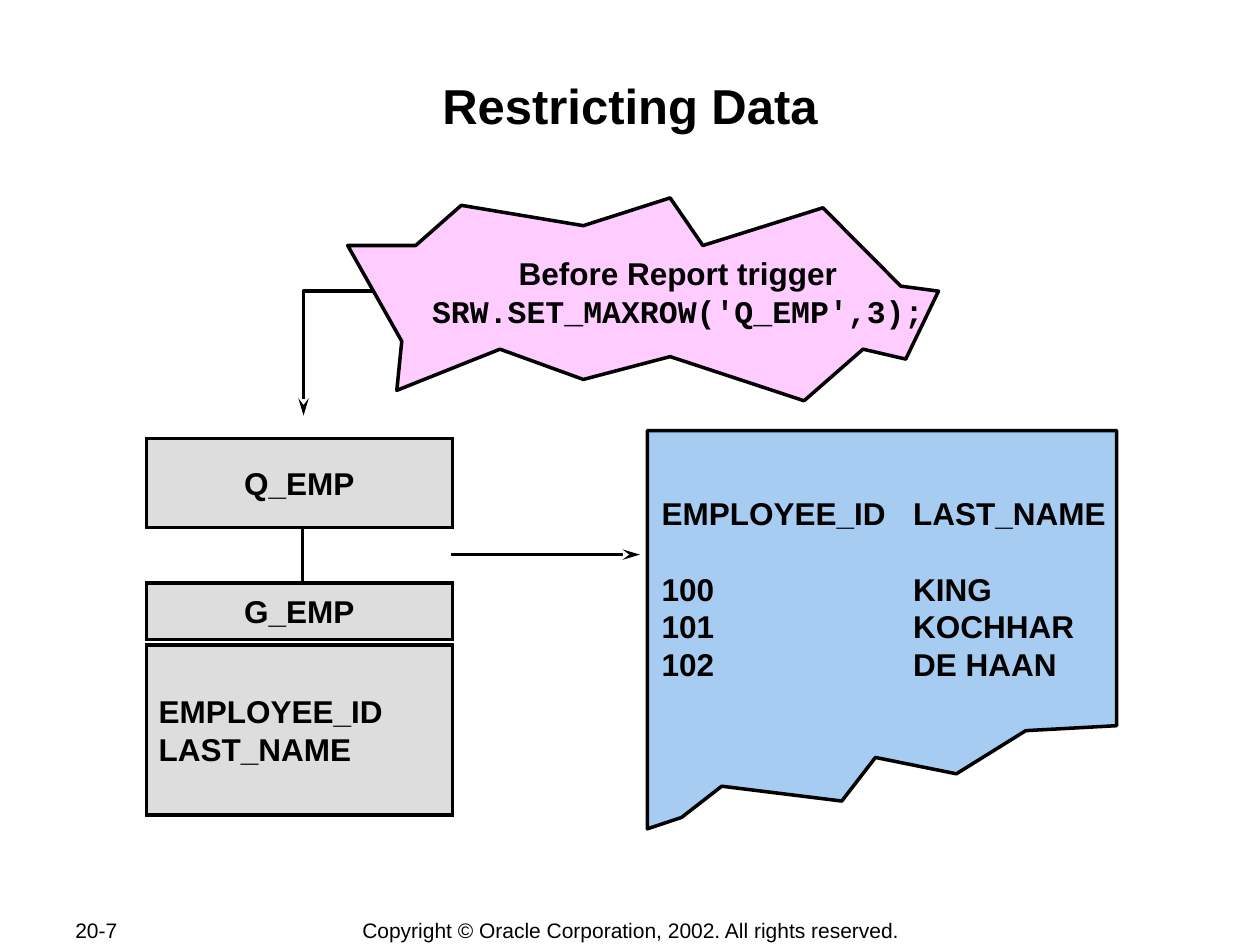
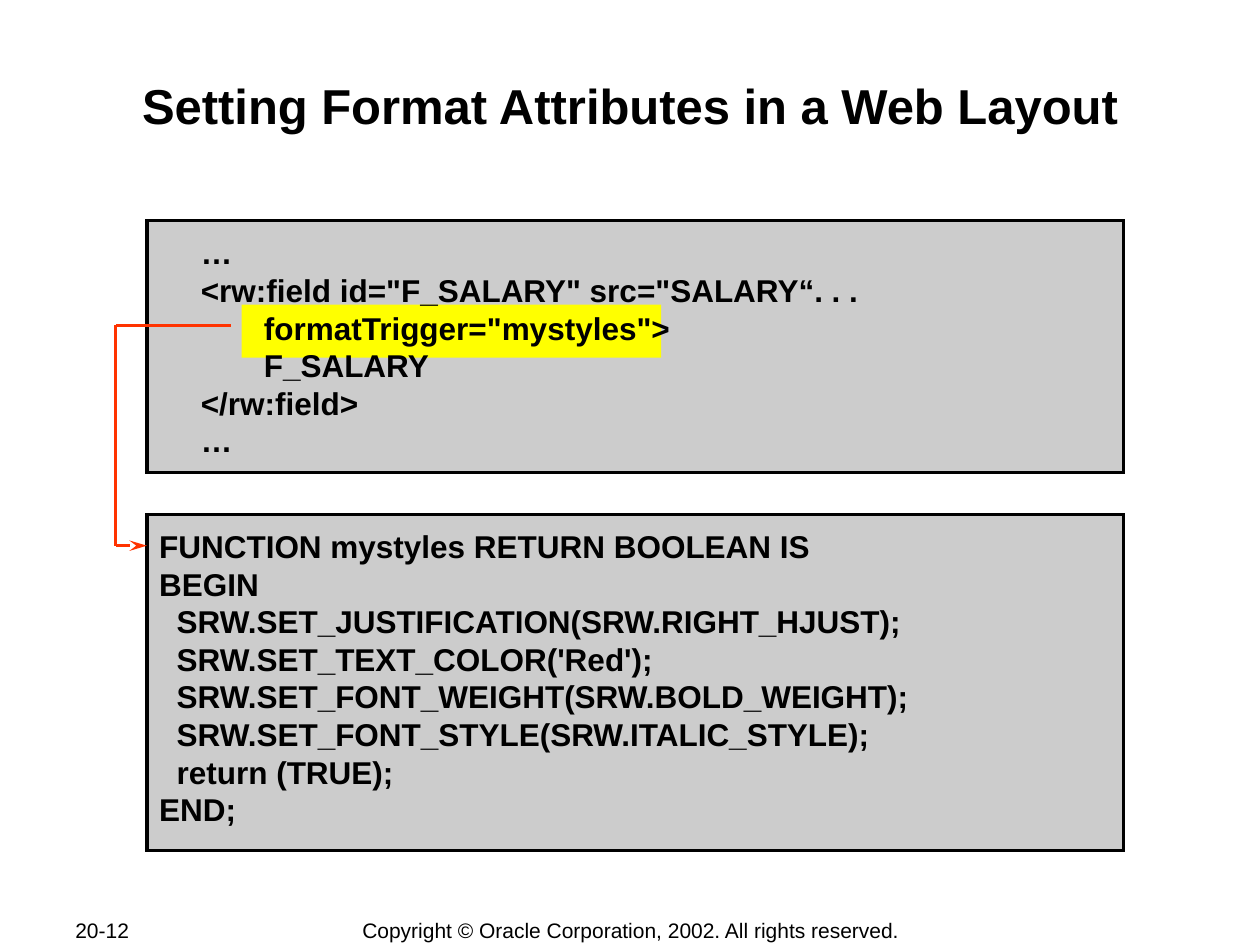
from dataclasses import dataclass
from itertools import pairwise

from lxml.etree import SubElement
from pptx import Presentation
from pptx.dml.color import RGBColor
from pptx.enum.shapes import MSO_CONNECTOR, MSO_SHAPE
from pptx.enum.text import MSO_ANCHOR, PP_ALIGN
from pptx.oxml.ns import qn
from pptx.util import Cm, Pt

BLACK = "000000"
BOX_GRAY = "DDDDDD"
PANEL_GRAY = "CCCCCC"
BURST_PINK = "FFCCFF"
SHEET_BLUE = "A7CCF1"
HIGHLIGHT_YELLOW = "FFFF00"
LINK_RED = "FF3300"

BODY_FONT = "Arial"
CODE_FONT = "Courier New"
BODY_SIZE = 18
BODY_LEADING = 21.5
OUTLINE_WIDTH = 2
COPYRIGHT = "Copyright © Oracle Corporation, 2002. All rights reserved."

Point = tuple[float, float]
Points = list[Point]


@dataclass(frozen=True)
class Box:
    """Position and size in centimetres."""
    left: float
    top: float
    width: float
    height: float

    def lengths(self) -> tuple:
        return Cm(self.left), Cm(self.top), Cm(self.width), Cm(self.height)


@dataclass(frozen=True)
class TextLine:
    """One paragraph; indent and tab stop in centimetres, space before in points."""
    text: str
    font: str = BODY_FONT
    indent: float = 0
    tab: float = 0
    space_before: float = 0


@dataclass(frozen=True)
class LabelledBox:
    box: Box
    lines: list[TextLine]
    align: PP_ALIGN = PP_ALIGN.CENTER


TITLE_BOX = Box(2.54, 1.53, 20.32, 2.44)
NUMBER_BOX = Box(1.52, 18.49, 2.5, 0.53)
COPYRIGHT_BOX = Box(5.1, 18.49, 15.24, 0.53)

BURST: Points = [
    (7.01, 4.95), (8.38, 4.95), (9.3, 4.14), (11.76, 4.55), (13.51, 3.99), (14.17, 4.95),
    (16.59, 4.19), (18.16, 5.77), (18.92, 5.87), (18.26, 7.24), (17.4, 7.04), (16.21, 8.08),
    (13.51, 7.19), (11.76, 7.65), (10.08, 7.04), (8, 7.87), (8.1, 6.88),
]
TORN_SHEET: Points = [
    (13.05, 16.71), (13.05, 8.68), (22.51, 8.68), (22.51, 14.63), (20.68, 14.73),
    (19.28, 15.6), (17.65, 15.27), (16.97, 16.15), (14.55, 15.85), (13.74, 16.48),
]
TRIGGER_TO_QUERY: Points = [(7.54, 5.87), (6.12, 5.87), (6.12, 8.38)]
FIELD_TO_FUNCTION: Points = [(4.65, 6.56), (2.33, 6.56), (2.33, 11), (2.96, 11)]

DATA_MODEL = [
    LabelledBox(Box(2.95, 8.84, 6.17, 1.8), [TextLine("Q_EMP")]),
    LabelledBox(Box(2.95, 11.75, 6.17, 1.14), [TextLine("G_EMP")]),
    LabelledBox(Box(2.95, 13, 6.17, 3.43),
                [TextLine("EMPLOYEE_ID"), TextLine("LAST_NAME")], PP_ALIGN.LEFT),
]

NAME_COLUMN = 5.07
REPORT_ROWS = [("100", "KING"), ("101", "KOCHHAR"), ("102", "DE HAAN")]

FIELD_PANEL = Box(2.96, 4.45, 19.69, 5.08)
FUNCTION_PANEL = Box(2.96, 10.37, 19.69, 6.78)
TAG_INDENT, ATTRIBUTE_INDENT = 1.27, 2.54
FIELD_CODE = [
    TextLine("…", indent=TAG_INDENT),
    TextLine('<rw:field id="F_SALARY" src="SALARY“. . .', indent=TAG_INDENT),
    TextLine('formatTrigger="mystyles">', indent=ATTRIBUTE_INDENT),
    TextLine("F_SALARY", indent=ATTRIBUTE_INDENT),
    TextLine("</rw:field>", indent=TAG_INDENT),
    TextLine("…", indent=TAG_INDENT),
]
FUNCTION_CODE = """FUNCTION mystyles RETURN BOOLEAN IS
BEGIN
  SRW.SET_JUSTIFICATION(SRW.RIGHT_HJUST);
  SRW.SET_TEXT_COLOR('Red');
  SRW.SET_FONT_WEIGHT(SRW.BOLD_WEIGHT);
  SRW.SET_FONT_STYLE(SRW.ITALIC_STYLE);
  return (TRUE);
END;"""


def color(hex_value: str) -> RGBColor:
    return RGBColor.from_string(hex_value)


def write_text(frame, lines: list[TextLine], *, size: float = BODY_SIZE, bold: bool = True,
               align=PP_ALIGN.LEFT, anchor=MSO_ANCHOR.TOP, margin: float = 0,
               leading: float | None = BODY_LEADING) -> None:
    frame.word_wrap = True
    frame.vertical_anchor = anchor
    frame.margin_left = frame.margin_right = Cm(margin)
    frame.margin_top = frame.margin_bottom = 0
    for index, line in enumerate(lines):
        paragraph = frame.add_paragraph() if index else frame.paragraphs[0]
        paragraph.alignment = align
        if leading:
            paragraph.line_spacing = Pt(leading)
        if line.space_before:
            paragraph.space_before = Pt(line.space_before)
        properties = paragraph._p.get_or_add_pPr()
        if line.indent:
            properties.set("marL", str(Cm(line.indent)))
            properties.set("indent", "0")
        if line.tab:
            tabs = SubElement(properties, qn("a:tabLst"))
            SubElement(tabs, qn("a:tab"), pos=str(Cm(line.tab)), algn="l")
        run = paragraph.add_run()
        run.text = line.text
        run.font.name = line.font
        run.font.size = Pt(size)
        run.font.bold = bold
        run.font.color.rgb = color(BLACK)


def add_text(slide, box: Box, lines: list[TextLine], **text_format) -> None:
    write_text(slide.shapes.add_textbox(*box.lengths()).text_frame, lines, **text_format)


def style_outline(line, hex_value: str = BLACK, *, arrow: bool = False,
                  sharp: bool = False) -> None:
    line.color.rgb = color(hex_value)
    line.width = Pt(OUTLINE_WIDTH)
    element = line._get_or_add_ln()
    if sharp:
        SubElement(element, qn("a:miter"), lim="800000")
    if arrow:
        SubElement(element, qn("a:tailEnd"), type="stealth", w="med", len="lg")


def add_rectangle(slide, box: Box, fill: str, outlined: bool = True):
    shape = slide.shapes.add_shape(MSO_SHAPE.RECTANGLE, *box.lengths())
    shape.shadow.inherit = False
    shape.fill.solid()
    shape.fill.fore_color.rgb = color(fill)
    if outlined:
        style_outline(shape.line, sharp=True)
    else:
        shape.line.fill.background()
    return shape


def add_labelled_box(slide, item: LabelledBox) -> None:
    shape = add_rectangle(slide, item.box, BOX_GRAY)
    write_text(shape.text_frame, item.lines, align=item.align,
               anchor=MSO_ANCHOR.MIDDLE, margin=0.25)


def add_outline(slide, points: Points, fill: str | None = None) -> None:
    """Draw a closed filled outline, or an open path with an arrowhead if there is no fill."""
    start, *others = [(Cm(x), Cm(y)) for x, y in points]
    builder = slide.shapes.build_freeform(*start)
    builder.add_line_segments(others, close=fill is not None)
    shape = builder.convert_to_shape()
    shape.shadow.inherit = False
    if fill:
        shape.fill.solid()
        shape.fill.fore_color.rgb = color(fill)
    else:
        shape.fill.background()
    style_outline(shape.line, arrow=fill is None)


def add_straight_line(slide, start: Point, end: Point, hex_value: str = BLACK,
                      arrow: bool = False) -> None:
    connector = slide.shapes.add_connector(
        MSO_CONNECTOR.STRAIGHT, *(Cm(value) for value in (*start, *end)))
    style_outline(connector.line, hex_value, arrow=arrow)
    SubElement(connector._element.spPr, qn("a:effectLst"))


def add_framed_slide(presentation, title: str, number: str):
    """Add a slide with the shared title and footer."""
    slide = presentation.slides.add_slide(presentation.slide_layouts[6])
    footer = dict(size=12, bold=False, anchor=MSO_ANCHOR.MIDDLE, leading=None)
    add_text(slide, NUMBER_BOX, [TextLine(number)], **footer)
    add_text(slide, COPYRIGHT_BOX, [TextLine(COPYRIGHT)], align=PP_ALIGN.CENTER, **footer)
    add_text(slide, TITLE_BOX, [TextLine(title)], size=28, align=PP_ALIGN.CENTER, leading=None)
    return slide


def build_restricting_data(presentation) -> None:
    slide = add_framed_slide(presentation, "Restricting Data", "20-7")
    add_outline(slide, BURST, BURST_PINK)
    trigger = [TextLine("Before Report trigger"),
               TextLine("SRW.SET_MAXROW('Q_EMP',3);", font=CODE_FONT)]
    add_text(slide, Box(8.33, 4.73, 10.67, 2.31), trigger,
             align=PP_ALIGN.CENTER, anchor=MSO_ANCHOR.MIDDLE)

    # The boxes cover both ends of this line.
    add_straight_line(slide, (6.1, 12.78), (6.1, 9.78))
    for item in DATA_MODEL:
        add_labelled_box(slide, item)
    add_outline(slide, TRIGGER_TO_QUERY)

    add_outline(slide, TORN_SHEET, SHEET_BLUE)
    report = [TextLine("EMPLOYEE_ID\tLAST_NAME", tab=NAME_COLUMN)]
    for index, row in enumerate(REPORT_ROWS):
        report.append(TextLine("\t".join(row), tab=NAME_COLUMN,
                               space_before=0 if index else BODY_LEADING))
    add_text(slide, Box(13.34, 9.49, 9.16, 4.75), report, anchor=MSO_ANCHOR.MIDDLE)
    add_straight_line(slide, (9.1, 11.18), (12.9, 11.18), arrow=True)


def build_format_attributes(presentation) -> None:
    slide = add_framed_slide(presentation, "Setting Format Attributes in a Web Layout", "20-12")
    add_rectangle(slide, FIELD_PANEL, PANEL_GRAY)
    add_rectangle(slide, Box(4.87, 6.14, 8.46, 1.07), HIGHLIGHT_YELLOW, outlined=False)
    add_text(slide, Box(2.78, 4.71, 19.5, 4.6), FIELD_CODE)
    add_rectangle(slide, FUNCTION_PANEL, PANEL_GRAY)
    function_lines = [TextLine(text) for text in FUNCTION_CODE.split("\n")]
    add_text(slide, Box(3.21, 10.63, 16.94, 6.17), function_lines)
    for start, end in pairwise(FIELD_TO_FUNCTION):
        add_straight_line(slide, start, end, LINK_RED, arrow=end == FIELD_TO_FUNCTION[-1])


def main() -> None:
    presentation = Presentation()
    presentation.slide_width, presentation.slide_height = Cm(25.4), Cm(19.05)
    build_restricting_data(presentation)
    build_format_attributes(presentation)
    presentation.save("out.pptx")


if __name__ == "__main__":
    main()
